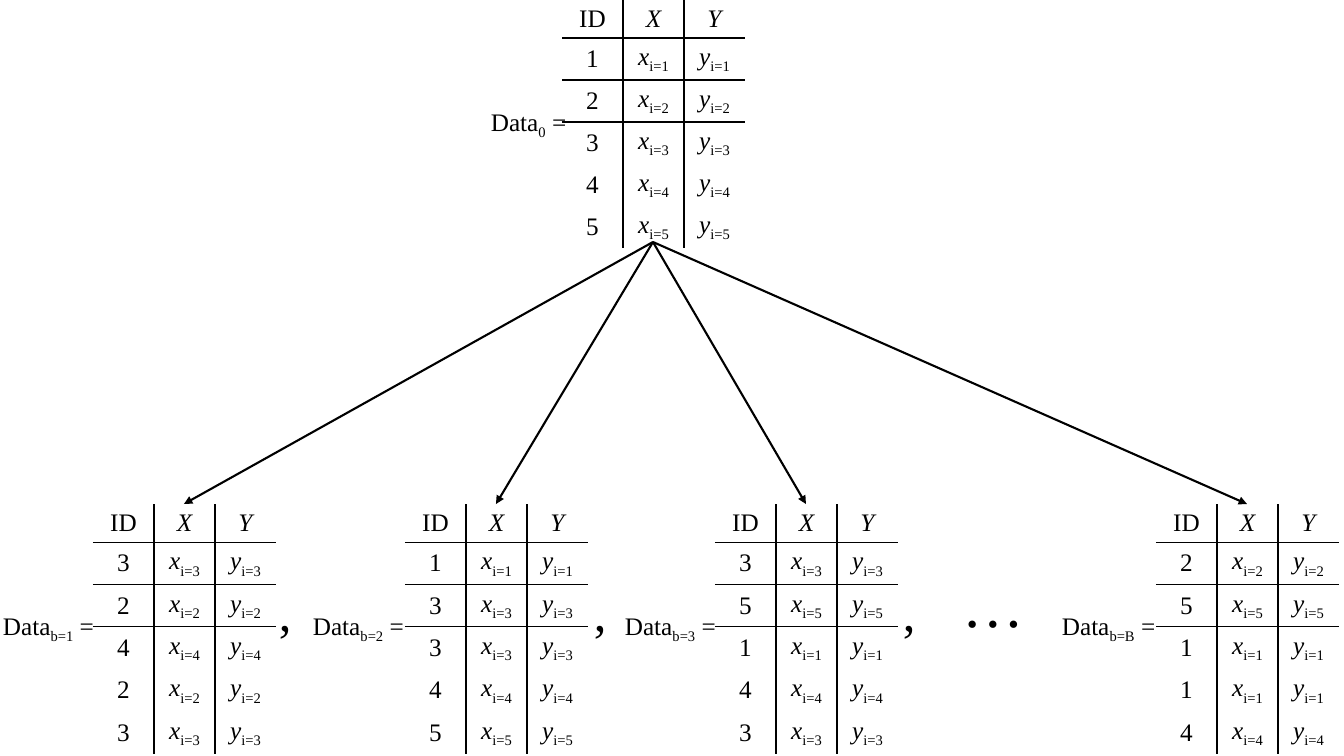
"""Bootstrap resampling diagram: one source table and its resampled copies."""
from dataclasses import dataclass
from typing import NamedTuple

from lxml.etree import SubElement
from pptx import Presentation
from pptx.dml.color import RGBColor
from pptx.enum.shapes import MSO_CONNECTOR as CONN
from pptx.enum.text import MSO_ANCHOR as ANCHOR, PP_ALIGN as ALIGN
from pptx.oxml.ns import qn
from pptx.util import Emu, Pt

FONT = "Times New Roman"
BLACK = "000000"
NO_STYLE = "{2D5ABB26-0587-4C30-8999-92F81FD0307C}"
COL_W, HEAD_H, ROW_H = 61, 38, 42
CENTER = COL_W * 3 // 2


class Part(NamedTuple):
    text: str
    italic: bool = False
    sub: bool = False


@dataclass
class Sample:
    name: str
    ids: str
    x: int
    y: int
    label_x: int
    label_w: int = 123


@dataclass
class Mark:
    text: str
    x: int
    y: int
    w: int
    h: int
    size: int
    wrap: bool = False


SOURCE = Sample("0", "12345", 562, 0, 481, 104)
RESAMPLES = [
    Sample("b=1", "32423", 93, 504, -7),
    Sample("b=2", "13345", 405, 504, 303),
    Sample("b=3", "35143", 715, 504, 615),
    Sample("b=B", "25114", 1156, 504, 1052),
]
MARKS = [Mark(",", x, 576, 33, 71, 36) for x in (269, 584, 893)]
MARKS.append(Mark("…", 953, 561, 73, 85, 44, True))


def px(n: float) -> Emu:
    return Emu(round(n * 914400 / 100.8))


def rgb(color: str) -> RGBColor:
    return RGBColor.from_string(color)


def write(tf, parts: list[Part], size: int = 18, align=ALIGN.LEFT) -> None:
    p = tf.paragraphs[0]
    p.alignment = align
    p.font.name, p.font.size = FONT, Pt(size)
    p.font.color.rgb = rgb(BLACK)
    for part in parts:
        r = p.add_run()
        r.text = part.text
        if part.italic:
            r.font.italic = True
        if part.sub:
            r.font._element.set("baseline", "-25000")


def add_text(s, x: int, y: int, w: int, h: int, parts: list[Part],
             size: int = 18, wrap: bool = True) -> None:
    tf = s.shapes.add_textbox(px(x), px(y), px(w), px(h)).text_frame
    tf.word_wrap = wrap
    write(tf, parts, size)


def set_borders(cell, row: int, col: int) -> None:
    tc_pr = cell._tc.get_or_add_tcPr()
    sides = {"lnL": col > 0, "lnR": col < 2, "lnT": row in (1, 2), "lnB": row < 2}
    for side, shown in sides.items():
        if shown:
            ln = SubElement(tc_pr, qn(f"a:{side}"), w=str(Pt(1)))
            fill = SubElement(ln, qn("a:solidFill"))
            SubElement(fill, qn("a:srgbClr"), val=BLACK)


def add_sample(s, sample: Sample) -> None:
    rows = [[[Part("ID")], [Part("X", True)], [Part("Y", True)]]]
    for i in sample.ids:
        sub = Part(f"i={i}", sub=True)
        rows.append([[Part(i)], [Part("x", True), sub], [Part("y", True), sub]])
    height = HEAD_H + ROW_H * len(sample.ids)
    frame = s.shapes.add_table(len(rows), 3, px(sample.x), px(sample.y),
                               px(3 * COL_W), px(height))
    table = frame.table
    table.first_row = table.horz_banding = False
    table._tbl.tblPr.find(qn("a:tableStyleId")).text = NO_STYLE
    for col in table.columns:
        col.width = px(COL_W)
    for i, row in enumerate(rows):
        table.rows[i].height = px(ROW_H if i else HEAD_H)
        for j, parts in enumerate(row):
            cell = table.cell(i, j)
            cell.vertical_anchor = ANCHOR.MIDDLE
            cell.margin_left = cell.margin_right = px(7)
            cell.margin_top = cell.margin_bottom = px(4)
            set_borders(cell, i, j)
            cell.fill.background()
            write(cell.text_frame, parts, align=ALIGN.CENTER)
    label = [Part("Data"), Part(sample.name, sub=True), Part(" = ")]
    add_text(s, sample.label_x, sample.y + 101, sample.label_w, 40, label)


def add_arrow(s, start: Sample, end: Sample) -> None:
    sp = s.shapes.add_connector(CONN.STRAIGHT, px(start.x + CENTER), px(242),
                                px(end.x + CENTER), px(end.y))
    sp.line.color.rgb = rgb(BLACK)
    sp.line.width = Pt(1.5)
    SubElement(sp.line._get_or_add_ln(), qn("a:tailEnd"), type="triangle")
    SubElement(sp._element.spPr, qn("a:effectLst"))


prs = Presentation()
prs.slide_width, prs.slide_height = px(1344), px(756)
s = prs.slides.add_slide(prs.slide_layouts[6])
for sample in [SOURCE, *RESAMPLES]:
    add_sample(s, sample)
for mark in MARKS:
    add_text(s, mark.x, mark.y, mark.w, mark.h, [Part(mark.text)], mark.size, mark.wrap)
for sample in RESAMPLES:
    add_arrow(s, SOURCE, sample)
prs.save("out.pptx")
